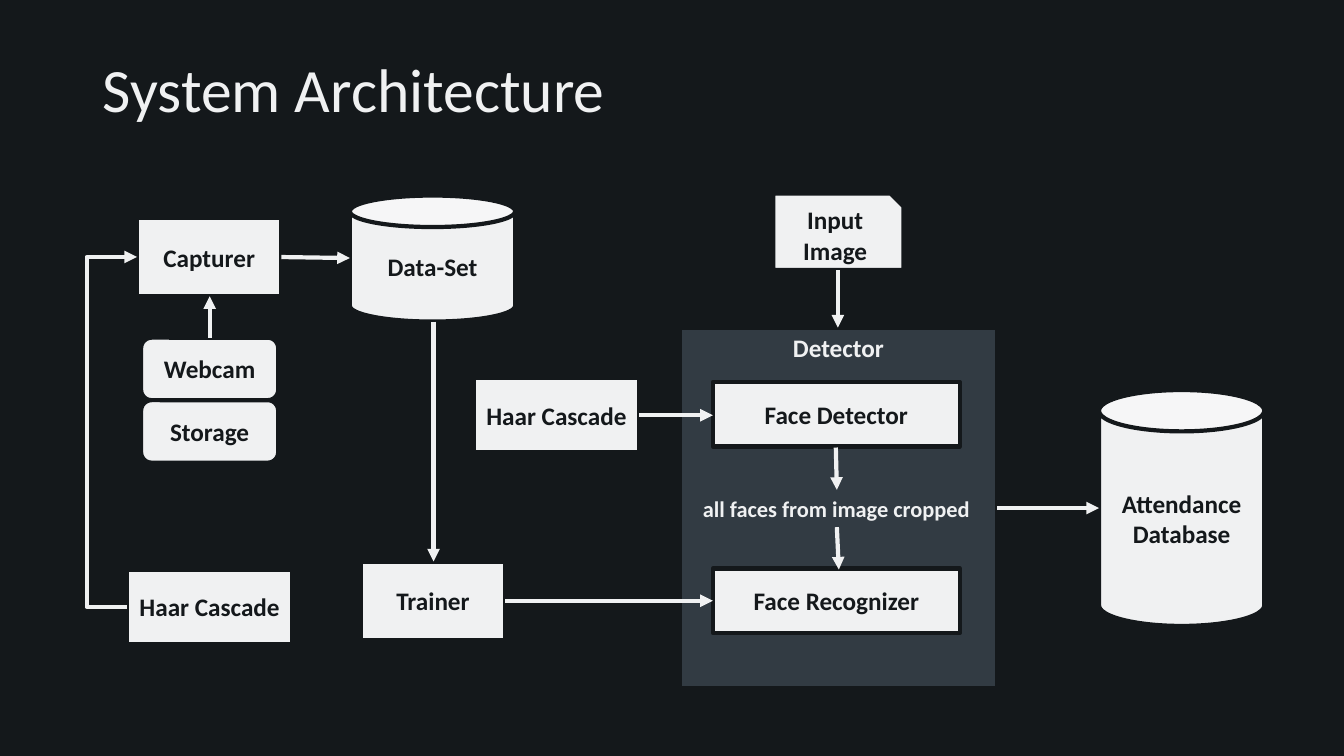
from lxml import etree
from pptx import Presentation
from pptx.dml.color import RGBColor
from pptx.enum import shapes, text
from pptx.oxml import ns
from pptx.util import Inches, Pt

DARK, LIGHT, PANEL = "14181B", "F0F1F2", "323B43"
SHAPE = shapes.MSO_SHAPE
LINE = shapes.MSO_CONNECTOR
MIDDLE, TOP = text.MSO_ANCHOR.MIDDLE, text.MSO_ANCHOR.TOP
CENTER, LEFT = text.PP_ALIGN.CENTER, text.PP_ALIGN.LEFT

BOXES = [
    (SHAPE.CAN, "Data-Set", 3.47, 1.94, 1.64, 1.25),
    (SHAPE.CAN, "Attendance\nDatabase", 10.9, 3.87, 1.64, 2.34),
    (SHAPE.RECTANGLE, "Capturer", 1.36, 2.16, 1.43, 0.78),
    (SHAPE.RECTANGLE, "Trainer", 3.58, 5.57, 1.43, 0.78),
    (SHAPE.RECTANGLE, "Haar Cascade", 1.26, 5.65, 1.64, 0.74),
    (SHAPE.RECTANGLE, "Haar Cascade", 4.7, 3.75, 1.64, 0.74),
    (SHAPE.RECTANGLE, "Face Detector", 7.07, 3.79, 2.45, 0.64),
    (SHAPE.RECTANGLE, "Face Recognizer", 7.07, 5.64, 2.45, 0.64),
    (SHAPE.ROUNDED_RECTANGLE, "Webcam", 1.4, 3.35, 1.36, 0.62),
    (SHAPE.ROUNDED_RECTANGLE, "Storage", 1.4, 3.97, 1.36, 0.62),
    (SHAPE.SNIP_1_RECTANGLE, "Input Image", 7.67, 1.92, 1.29, 0.76),
]

ARROWS = [
    (2.79, 2.55, 3.47, 2.56),
    (2.08, 3.35, 2.08, 2.94),
    (4.3, 3.19, 4.3, 5.57),
    (5.01, 5.96, 7.07, 5.96),
    (6.34, 4.12, 7.07, 4.12),
    (8.31, 2.68, 8.31, 3.25),
    (8.29, 4.44, 8.3, 4.86),
    (8.3, 5.23, 8.32, 5.65),
    (9.89, 5.04, 10.9, 5.04),
]


def color(value):
    return RGBColor.from_string(value)


def write(box, words, hue, size=18, bold=True, align=CENTER, anchor=MIDDLE):
    frame = box.text_frame
    frame.word_wrap = True
    frame.vertical_anchor = anchor
    frame.text = words
    for para in frame.paragraphs:
        para.alignment = align
        for span in para.runs:
            for name, value in {"name": "Calibri", "size": Pt(size), "bold": bold}.items():
                setattr(span.font, name, value)
            span.font.color.rgb = color(hue)


def add_title(page, words):
    title = page.shapes.title
    place = {"left": 0.92, "top": 0.38, "width": 11.5, "height": 1.08}
    for name, value in place.items():
        setattr(title, name, Inches(value))
    write(title, words, LIGHT, size=44, bold=False, align=LEFT)
    title.text_frame.paragraphs[0].line_spacing = 0.9


def add_box(page, kind, words, *place, fill=LIGHT, hue=DARK, anchor=MIDDLE):
    box = page.shapes.add_shape(kind, *map(Inches, place))
    box.shadow.inherit = False
    box.fill.solid()
    box.fill.fore_color.rgb = color(fill)
    box.line.color.rgb = color(DARK)
    box.line.width = Pt(3)
    write(box, words, hue, anchor=anchor)


def add_label(page, words, *place):
    label = page.shapes.add_textbox(*map(Inches, place))
    write(label, words, LIGHT, size=16, anchor=TOP)


def add_arrow(page, *ends, kind=LINE.STRAIGHT):
    arrow = page.shapes.add_connector(kind, *map(Inches, ends))
    arrow.line.color.rgb = color(LIGHT)
    arrow.line.width = Pt(3)
    properties = arrow.element.spPr
    tip = etree.SubElement(properties.find(ns.qn("a:ln")), ns.qn("a:tailEnd"))
    tip.set("type", "triangle")
    etree.SubElement(properties, ns.qn("a:effectLst"))
    return arrow


def add_loop(page, start_x, start_y, end_x, end_y, bend_x):
    arrow = add_arrow(page, start_x, start_y, end_x, end_y, kind=LINE.ELBOW)
    geometry = arrow.element.spPr.find(ns.qn("a:prstGeom"))
    guide = etree.SubElement(geometry.find(ns.qn("a:avLst")), ns.qn("a:gd"))
    share = round((bend_x - start_x) / (end_x - start_x) * 100000)
    guide.set("name", "adj1")
    guide.set("fmla", f"val {share}")


def main():
    deck = Presentation()
    deck.slide_width, deck.slide_height = Inches(13.33), Inches(7.5)
    page = deck.slides.add_slide(deck.slide_layouts[5])
    page.background.fill.solid()
    page.background.fill.fore_color.rgb = color(DARK)
    add_title(page, "System Architecture")
    add_box(page, SHAPE.RECTANGLE, "Detector", 6.74, 3.25, 3.15, 3.58,
            fill=PANEL, hue=LIGHT, anchor=TOP)
    for box in BOXES:
        add_box(page, *box)
    add_label(page, "all faces from image cropped", 6.7, 4.86, 3.19, 0.37)
    for ends in ARROWS:
        add_arrow(page, *ends)
    add_loop(page, 1.26, 6.02, 1.36, 2.55, bend_x=0.86)
    deck.save("out.pptx")


main()
